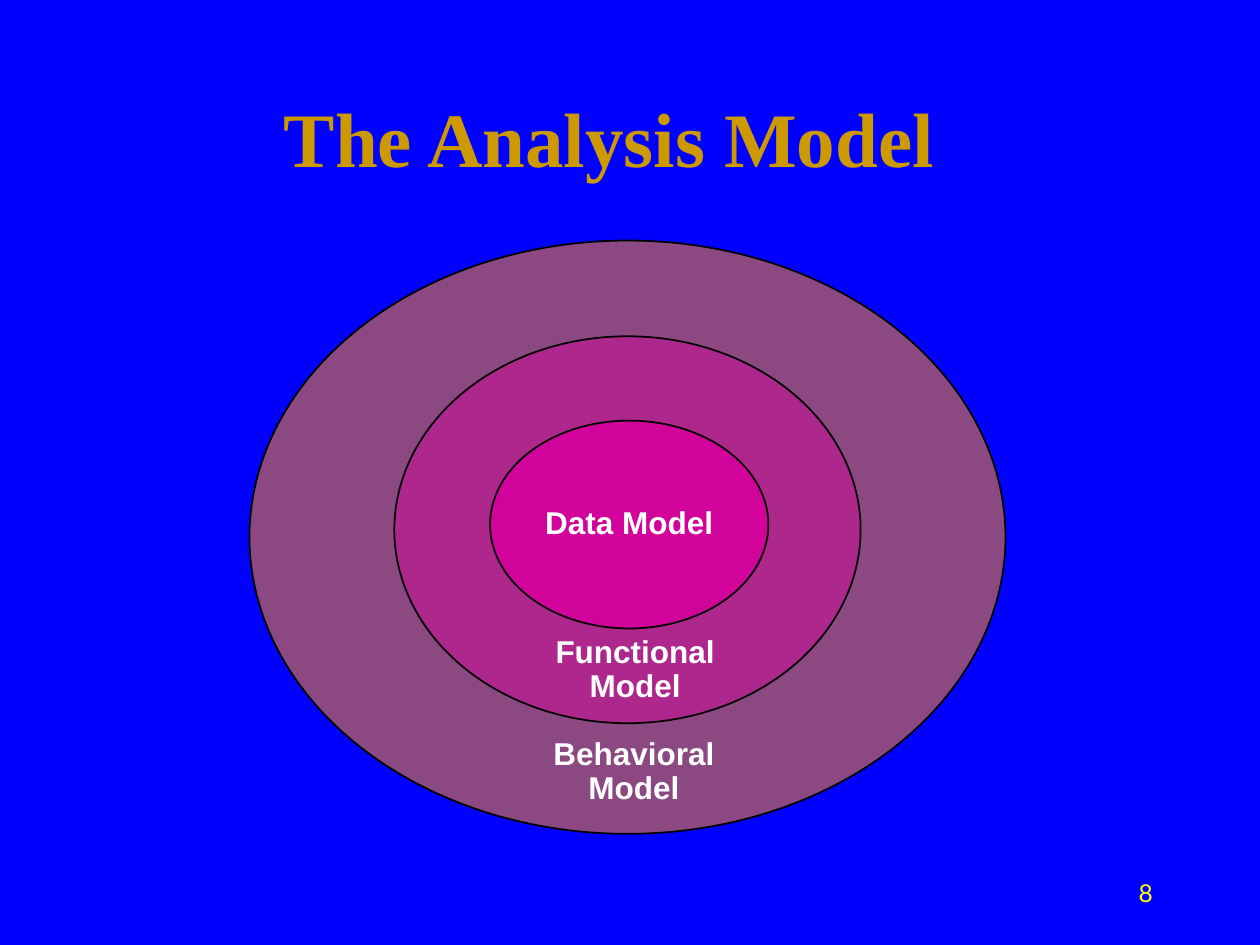
from pptx import Presentation, util as u
from pptx.dml.color import RGBColor
from pptx.enum import shapes, text

COLORS = {
    "background": "0000FF", "title": "CC9900", "label": "FFFFFF",
    "number": "FFFF00", "outline": "000000",
    "behavioral": "8C4881", "functional": "AD278D", "data": "D1039B",
}

prs = Presentation()
prs.slide_width, prs.slide_height = u.Cm(25.4), u.Cm(19.05)
s = prs.slides.add_slide(prs.slide_layouts[6])
s.background.fill.solid()
s.background.fill.fore_color.rgb = RGBColor.from_string(COLORS["background"])


def write(sp, lines, size, color, font="Arial", bold=True, wrap=False,
          align=text.PP_ALIGN.CENTER, anchor=text.MSO_ANCHOR.TOP, spacing=None):
    tf = sp.text_frame
    tf.word_wrap = wrap
    tf.vertical_anchor = anchor
    for i, line in enumerate(lines):
        p = tf.paragraphs[0] if i == 0 else tf.add_paragraph()
        p.alignment = align
        p.line_spacing = spacing
        r = p.add_run()
        r.text = line
        r.font.name, r.font.size, r.font.bold = font, u.Pt(size), bold
        r.font.color.rgb = RGBColor.from_string(COLORS[color])


def add_box(*place):
    return s.shapes.add_textbox(*map(u.Cm, place))


# Title
write(add_box(4.45, 1.9, 15.67, 1.7), ["The Analysis Model"], 44, "title",
      font="Times New Roman", wrap=True, anchor=text.MSO_ANCHOR.MIDDLE)

# Nested ellipses, outermost first
ellipses = {}
for name, place in [
    ("behavioral", (5.03, 4.85, 15.24, 11.96)),
    ("functional", (7.95, 6.78, 9.4, 7.8)),
    ("data", (9.88, 8.48, 5.61, 4.19)),
]:
    sp = s.shapes.add_shape(shapes.MSO_SHAPE.OVAL, *map(u.Cm, place))
    sp.shadow.inherit = False
    sp.fill.solid()
    sp.fill.fore_color.rgb = RGBColor.from_string(COLORS[name])
    sp.line.color.rgb = RGBColor.from_string(COLORS["outline"])
    sp.line.width = u.Pt(1)
    ellipses[name] = sp

# Model labels
write(ellipses["data"], ["Data Model"], 18, "label",
      anchor=text.MSO_ANCHOR.MIDDLE, spacing=0.9)
for word, place in [
    ("Behavioral", (10.9, 14.76, 3.76, 1.63)),
    ("Functional", (10.95, 12.7, 3.71, 1.63)),
]:
    sp = add_box(*place)
    write(sp, [word, "Model"], 18, "label", spacing=0.9)
    sp.text_frame.auto_size = text.MSO_AUTO_SIZE.SHAPE_TO_FIT_TEXT

# Slide number
write(add_box(18.21, 17.58, 5.28, 0.84), ["8"], 14, "number", font="Lato",
      bold=False, wrap=True, align=text.PP_ALIGN.RIGHT)

prs.save("out.pptx")
